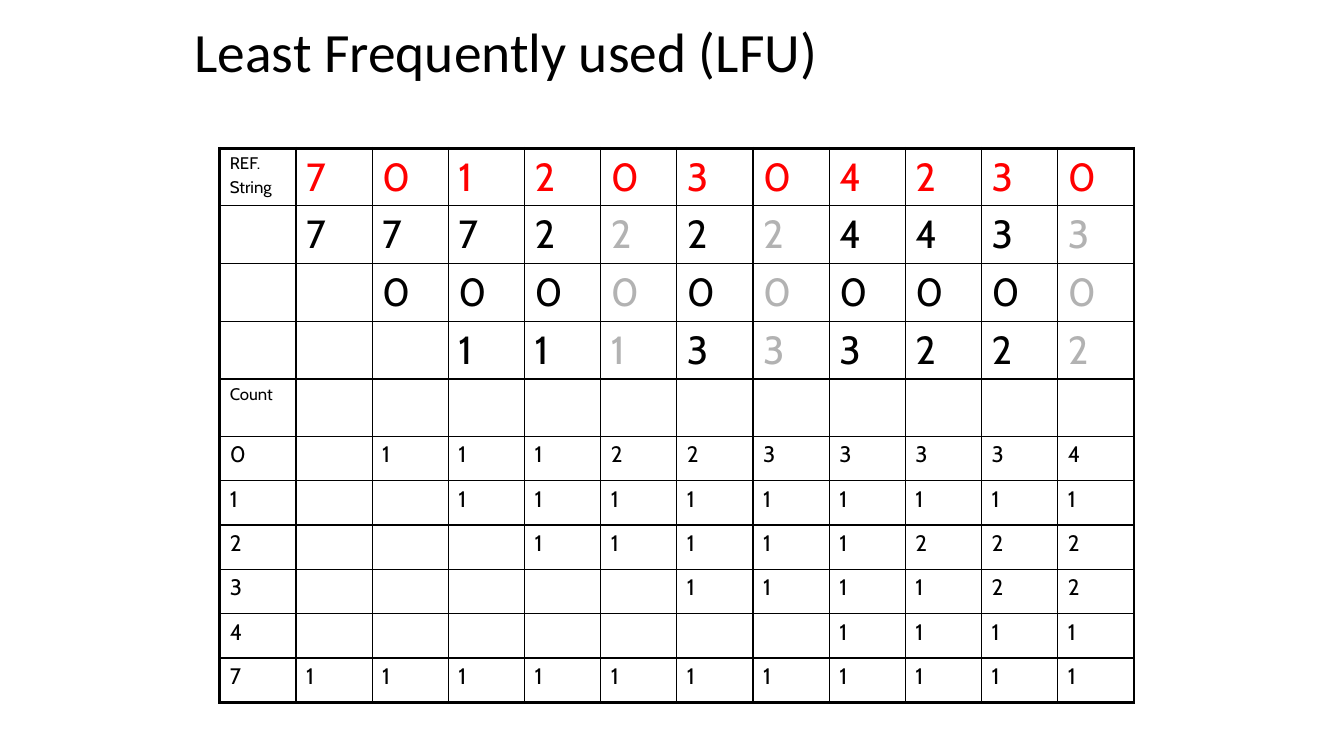
from lxml.etree import SubElement
from pptx import Presentation
from pptx.dml.color import RGBColor
from pptx.enum.text import MSO_ANCHOR, PP_ALIGN
from pptx.oxml.ns import qn
from pptx.util import Inches, Pt

BLACK = RGBColor(0x00, 0x00, 0x00)
RED = RGBColor(0xFF, 0x00, 0x00)
GRAY = RGBColor(0xB2, 0xB2, 0xB2)

REFERENCE_ROW = 0
COUNT_ROW = 4
HIT_COLUMNS = (5, 7, 11)
ROWS = [
    ["REF.\nString", *"70120304230"],
    ["", *"77722224433"],
    ["", "", *"0000000000"],
    ["", "", "", *"113333222"],
    ["Count"] + [""] * 11,
    ["0", "", *"1112233334"],
    ["1", "", "", *"111111111"],
    ["2", "", "", "", *"11111222"],
    ["3", "", "", "", "", "", *"111122"],
    ["4", "", "", "", "", "", "", "", *"1111"],
    ["7", *"11111111111"],
]
ROWS[3] = ["", "", "", *"111333222"[:0], *"111" , *"333", *"222"]


class SlideBuilder:
    """Holds the fonts and the current slide, and adds its elements."""

    title_font = "Calibri"
    table_font = "Cabin"
    outer_line = Pt(2.25)
    inner_line = Pt(1)

    def __init__(self, presentation):
        self.slide = presentation.slides.add_slide(presentation.slide_layouts[5])

    def add_title(self, text, left, top, width, height):
        title = self.slide.shapes.title
        title.left, title.top, title.width, title.height = left, top, width, height
        text_frame = title.text_frame
        text_frame.text = text
        text_frame.word_wrap = True
        text_frame.vertical_anchor = MSO_ANCHOR.MIDDLE
        paragraph = text_frame.paragraphs[0]
        paragraph.alignment = PP_ALIGN.LEFT
        paragraph.line_spacing = 0.9
        self.format_runs(paragraph, self.title_font, Pt(39.6), BLACK)

    def format_runs(self, paragraph, font_name, size, color):
        for run in paragraph.runs:
            run.font.name = font_name
            run.font.size = size
            run.font.color.rgb = color

    def add_border(self, cell, side, width):
        properties = cell._tc.get_or_add_tcPr()
        line = SubElement(properties, qn(f"a:ln{side}"), w=str(int(width)))
        fill = SubElement(line, qn("a:solidFill"))
        SubElement(fill, qn("a:srgbClr"), val=str(BLACK))

    def add_table(self, rows, left, top, width, tall_row, short_row):
        row_count, column_count = len(rows), len(rows[0])
        heights = [tall_row if i <= COUNT_ROW else short_row for i in range(row_count)]
        table = self.slide.shapes.add_table(
            row_count, column_count, left, top, width, sum(heights)
        ).table
        table.first_row = False
        table.horz_banding = False
        for i, values in enumerate(rows):
            table.rows[i].height = heights[i]
            for j, value in enumerate(values):
                cell = table.cell(i, j)
                outer_sides = {
                    "L": j == 0,
                    "R": j == column_count - 1,
                    "T": i == 0,
                    "B": i == row_count - 1,
                }
                for side, is_outer in outer_sides.items():
                    width = self.outer_line if is_outer else self.inner_line
                    self.add_border(cell, side, width)
                cell.fill.background()
                self.fill_cell(cell, value, i, j)

    def fill_cell(self, cell, value, row, column):
        if row > COUNT_ROW:
            size, color = Pt(16), BLACK
        elif column == 0:
            size, color = Pt(12), BLACK
        elif row == REFERENCE_ROW:
            size, color = Pt(28), RED
        else:
            size, color = Pt(28), GRAY if column in HIT_COLUMNS else BLACK
        cell.text_frame.text = value
        for index, paragraph in enumerate(cell.text_frame.paragraphs):
            if index:
                paragraph.space_before = Pt(2.4)
            self.format_runs(paragraph, self.table_font, size, color)


def main():
    presentation = Presentation()
    presentation.slide_width = Inches(13.33)
    presentation.slide_height = Inches(7.5)
    builder = SlideBuilder(presentation)
    builder.add_title(
        "Least Frequently used (LFU)",
        Inches(1.83), Inches(0.24), Inches(9.63), Inches(0.6),
    )
    builder.add_table(
        ROWS, Inches(2.18), Inches(1.47), Inches(9.07), Inches(0.57), Inches(0.44)
    )
    presentation.save("out.pptx")


if __name__ == "__main__":
    main()
